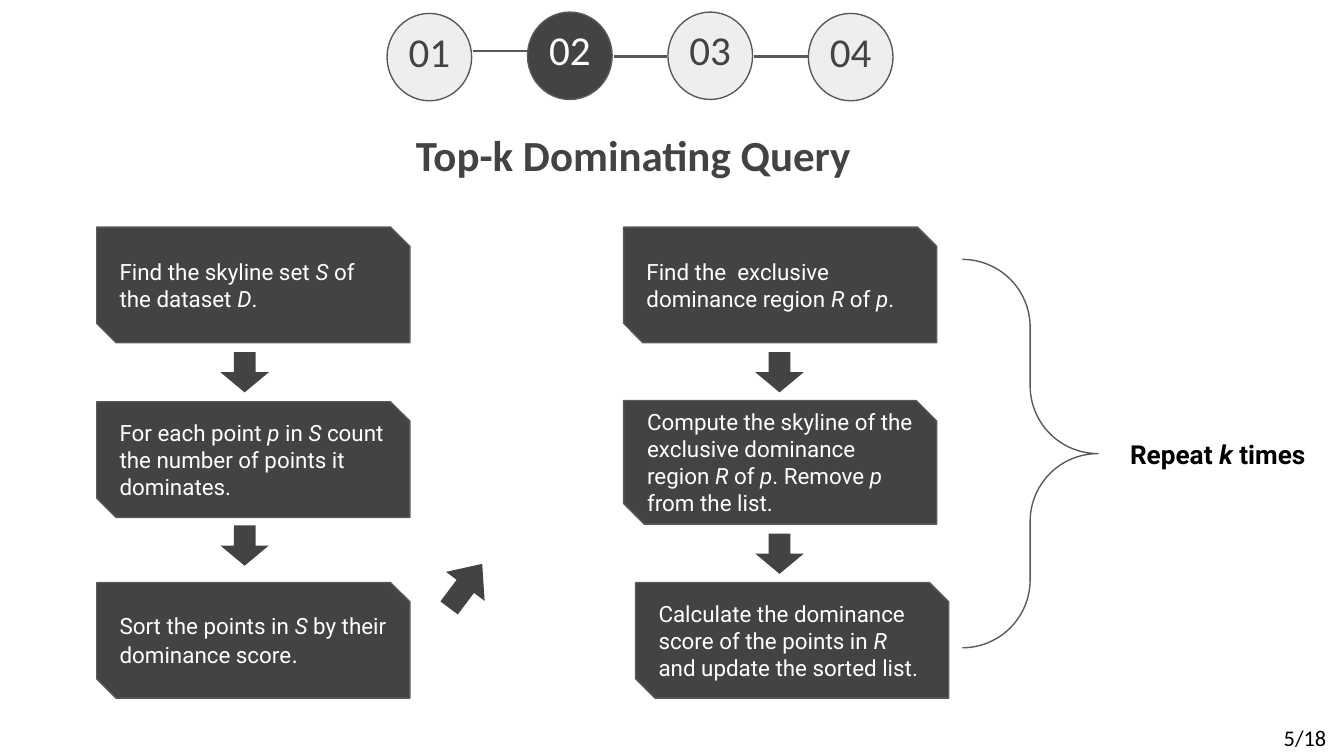
from lxml import etree
from pptx import Presentation
from pptx.dml.color import RGBColor
from pptx.enum.shapes import MSO_CONNECTOR, MSO_SHAPE
from pptx.enum.text import MSO_ANCHOR, MSO_AUTO_SIZE, PP_ALIGN
from pptx.oxml.ns import qn
from pptx.util import Emu, Pt

ELLIPSE, ARROW = MSO_SHAPE.OVAL, MSO_SHAPE.RIGHT_ARROW
SNIPPED, BRACE = MSO_SHAPE.SNIP_2_DIAG_RECTANGLE, MSO_SHAPE.RIGHT_BRACE
STRAIGHT = MSO_CONNECTOR.STRAIGHT
TOP, MIDDLE, BOTTOM = MSO_ANCHOR.TOP, MSO_ANCHOR.MIDDLE, MSO_ANCHOR.BOTTOM
LEFT, CENTER = PP_ALIGN.LEFT, PP_ALIGN.CENTER
NO_AUTOFIT = MSO_AUTO_SIZE.NONE

DARK = RGBColor(0x43, 0x43, 0x43)
LIGHT = RGBColor(0xEE, 0xEE, 0xEE)
GRAY = RGBColor(0x59, 0x59, 0x59)
WHITE = RGBColor(0xFF, 0xFF, 0xFF)
BLACK = RGBColor(0x00, 0x00, 0x00)

EMU_PER_PX = 4572  # 200 px to the inch
INSET = 20


def px(*lengths):
    return [Emu(length * EMU_PER_PX) for length in lengths]


def add_run(paragraph, text, font, size, color, bold=False, italic=False):
    run = paragraph.add_run()
    run.text = text
    run.font.name = font
    run.font.size = Pt(size)
    run.font.color.rgb = color
    run.font.bold = bold
    run.font.italic = italic


def write_text(shape, text, font, size, color, bold=False,
               align=LEFT, anchor=TOP, inset=INSET):
    """Write one paragraph; words between asterisks are italic."""
    frame = shape.text_frame
    frame.word_wrap = True
    frame.auto_size = NO_AUTOFIT
    frame.vertical_anchor = anchor
    (frame.margin_left, frame.margin_top,
     frame.margin_right, frame.margin_bottom) = px(*[inset] * 4)
    paragraph = frame.paragraphs[0]
    paragraph.alignment = align
    for index, part in enumerate(text.split("*")):
        add_run(paragraph, part, font, size, color, bold, index % 2 == 1)
    return paragraph


def add_title(slide, box, text):
    title = slide.shapes.title
    title.left, title.top, title.width, title.height = px(*box)
    write_text(title, text, "Calibri", 23, DARK, True, CENTER, BOTTOM)


def add_label(slide, box, text, *style, **options):
    write_text(slide.shapes.add_textbox(*px(*box)), text, *style, **options)


def add_figure(slide, kind, box, fill=None, line=None, adjustments=()):
    shape = slide.shapes.add_shape(kind, *px(*box))
    shape.shadow.inherit = False
    if fill is None:
        shape.fill.background()
    else:
        shape.fill.solid()
        shape.fill.fore_color.rgb = fill
    if line is None:
        shape.line.fill.background()
    else:
        shape.line.color.rgb = line
        shape.line.width = Pt(0.75)
    for index, value in enumerate(adjustments):
        shape.adjustments[index] = value
    return shape


def add_link(slide, left, right, y):
    link = slide.shapes.add_connector(STRAIGHT, *px(left, y, right, y))
    link.line.color.rgb = GRAY
    link.line.width = Pt(1.5)
    etree.SubElement(link._element.spPr, qn("a:effectLst"))


def add_step(slide, box, text):
    shape = add_figure(slide, SNIPPED, box, DARK, GRAY, (0, 0.167))
    return write_text(shape, text, "Roboto", 12, WHITE, anchor=MIDDLE)


def add_arrow(slide, box, rotation, head):
    arrow = add_figure(slide, ARROW, box, DARK, adjustments=(0.45, head))
    arrow.rotation = rotation


def add_progress(slide, current):
    left, step, width, height = 576, 209, 126, 130
    for index, top in enumerate((20, 18, 18, 20)):
        active = index + 1 == current
        circle = add_figure(slide, ELLIPSE, (left + index * step, top, width, height),
                            DARK if active else LIGHT, GRAY)
        write_text(circle, f"{index + 1:02}", "Calibri", 22,
                   WHITE if active else DARK, align=CENTER, inset=0)
    for index, y in enumerate((76, 84, 84)):
        start = left + index * step + width + 2
        add_link(slide, start, start + 80, y)


def main():
    presentation = Presentation()
    presentation.slide_width, presentation.slide_height = px(2000, 1125)
    slide = presentation.slides.add_slide(presentation.slide_layouts[5])

    # Heading, page number and progress circles
    add_title(slide, (402, 166, 1082, 122), "Top-k Dominating Query")
    add_label(slide, (1884, 1068, 116, 58), "5/18", "Calibri", 12, BLACK,
              align=CENTER, anchor=MIDDLE)
    add_progress(slide, 2)

    # Left column: prepare the sorted list
    add_step(slide, (144, 338, 466, 172),
             "Find the skyline set *S* of the dataset *D*.")
    add_step(slide, (144, 598, 466, 172),
             "For each point *p* in *S* count the number of points it dominates.")
    sort_step = add_step(slide, (144, 867, 466, 172),
                         "Sort the points in *S *by their dominance score")
    add_run(sort_step, ".", "Roboto", 13, WHITE)

    # Right column: the repeated steps
    add_step(slide, (928, 338, 466, 172),
             "Find the  exclusive dominance region *R* of *p*.")
    add_step(slide, (928, 596, 466, 184),
             "Compute the skyline of the exclusive dominance region "
             "*R *of *p*. Remove *p *from the list.")
    add_step(slide, (946, 867, 466, 172),
             "Calculate the dominance score of the points in "
             "*R *and update the sorted list.")

    # Arrows between the steps, and from the left column to the right
    for left, top in ((334, 518), (334, 776), (1130, 518), (1130, 788)):
        add_arrow(slide, (left, top, 60, 72), 90, 0.5)
    add_arrow(slide, (652, 836, 82, 72), 306.9, 0.58)

    # Loop brace
    add_figure(slide, BRACE, (1432, 386, 202, 578), line=GRAY,
               adjustments=(0.5, 0.5))
    add_label(slide, (1662, 632, 306, 88), "Repeat *k *times", "Roboto", 14,
              BLACK, bold=True)

    presentation.save("out.pptx")


if __name__ == "__main__":
    main()
